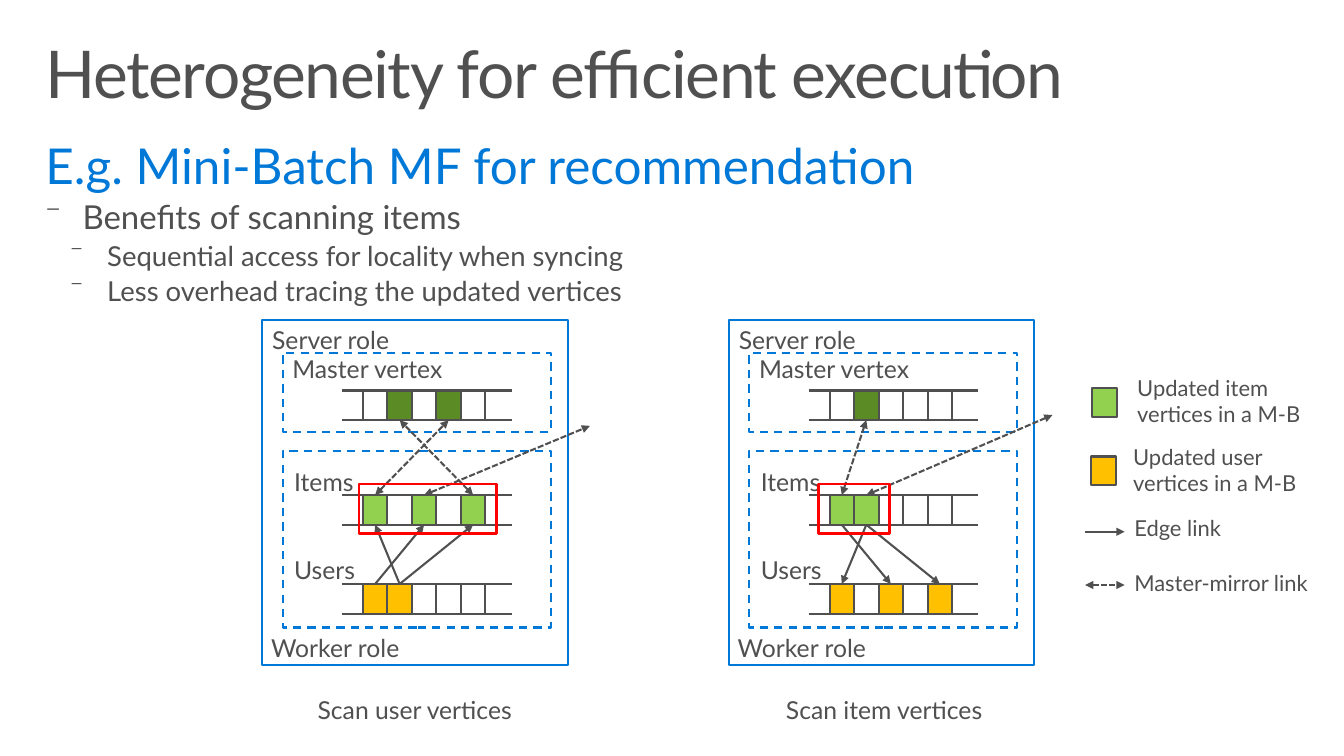
from dataclasses import dataclass
from lxml import etree
from pptx import Presentation
from pptx.dml.color import RGBColor
from pptx.enum.dml import MSO_LINE
from pptx.enum.shapes import MSO_CONNECTOR, MSO_SHAPE
from pptx.enum.text import MSO_ANCHOR, PP_ALIGN
from pptx.oxml.ns import qn
from pptx.util import Pt

RECTANGLE = MSO_SHAPE.RECTANGLE
STRAIGHT = MSO_CONNECTOR.STRAIGHT
TOP = MSO_ANCHOR.TOP
LEFT, CENTER = PP_ALIGN.LEFT, PP_ALIGN.CENTER
DASH, SHORT_DASH = MSO_LINE.DASH, MSO_LINE.SQUARE_DOT


@dataclass(frozen=True)
class Theme:
    font: str = "Lato"
    ink: str = "505050"
    blue: str = "0078D7"
    master: str = "5A8B25"
    item: str = "92D050"
    user: str = "FFC000"
    scan: str = "FF0000"
    title: int = 48
    heading: int = 36
    point: int = 24
    detail: int = 20
    label: int = 18
    legend: int = 16
    line: float = 1.5
    scan_line: float = 1.75


theme = Theme()

TITLE = "Heterogeneity for efficient execution"
BODY = [
    ("E.g. Mini-Batch MF for recommendation", theme.heading, theme.blue, None),
    ("Benefits of scanning items", theme.point, theme.ink, 27),
    ("Sequential access for locality when syncing", theme.detail, theme.ink, 45),
    ("Less overhead tracing the updated vertices", theme.detail, theme.ink, 45),
]
PANELS = [
    {
        "left": 191.2,
        "caption": "Scan user vertices",
        "caption_center": 111,
        "filled": {"master": [1, 3], "item": [0, 2, 4], "user": [0, 1]},
        "edges": [("user", 0, "item", 2), ("user", 1, "item", 0), ("user", 1, "item", 4)],
        "mirrors": [("item", 0, "master", 3), ("item", 4, "master", 1)],
        "remote": (2, 238.6, 310.3),
        "scan": (5, 3),
    },
    {
        "left": 531.2,
        "caption": "Scan item vertices",
        "caption_center": 113,
        "filled": {"master": [1], "item": [0, 1], "user": [0, 2, 4]},
        "edges": [("item", 0, "user", 2), ("item", 1, "user", 0), ("item", 1, "user", 4)],
        "mirrors": [("item", 0, "master", 1)],
        "remote": (1, 235.6, 302.4),
        "scan": (2, 8),
    },
]
PANEL_FRAMES = [(0, 233.3, 222.5, 251.3, None), (14.8, 257, 195.3, 57.6, DASH),
                (14.8, 328.3, 195.3, 128.9, DASH)]
PANEL_LABELS = [
    ("Server role", 0, 233.3, 112),
    ("Master vertex", 14.8, 254.2, 166),
    ("Items", 16, 336.2, 59),
    ("Users", 16, 400.3, 59),
    ("Worker role", -0.8, 457.2, 129),
]
ROW_TOPS = {"master": 284.5, "item": 360.7, "user": 425.5}
ROW_HEIGHT = 21.6
RAIL_START, RAIL_END = 57.9, 181.6
CELL_START, CELL_PITCH, CELL_COUNT = 73.2, 17.85, 5
SCAN_PAD = 8
SCAN_TOP, SCAN_HEIGHT = 352.8, 36

LEGEND_CELLS = [
    ("Updated item vertices in a M-B", theme.item, 795.6, 283, 821.5, 269.3),
    ("Updated user vertices in a M-B", theme.user, 794.9, 332.6, 818.6, 319.7),
]
LEGEND_LINKS = [
    ("Edge link", 387.4, 371.5, False),
    ("Master-mirror link", 426.2, 411.1, True),
]
LEGEND_LINK_START, LEGEND_LINK_END = 790.6, 819.4

deck = Presentation()
deck.slide_width, deck.slide_height = Pt(979.2), Pt(550.8)
page = deck.slides.add_slide(deck.slide_layouts[6])


def color(value):
    return RGBColor.from_string(value)


def style(para, size, ink):
    for span in para.runs:
        span.font.name = theme.font
        span.font.size = Pt(size)
        span.font.color.rgb = color(ink)


def text_box(left, top, width, height, lines, insets=(7.2, 3.6), align=LEFT):
    box = page.shapes.add_textbox(Pt(left), Pt(top), Pt(width), Pt(height))
    frame = box.text_frame
    frame.text = "\n".join(line[0] for line in lines)
    frame.word_wrap = True
    frame.vertical_anchor = TOP
    frame.margin_left = frame.margin_right = Pt(insets[0])
    frame.margin_top = frame.margin_bottom = Pt(insets[1])
    for para, line in zip(frame.paragraphs, lines):
        para.alignment = align
        style(para, line[1], line[2])
    return frame


def rectangle(left, top, width, height, fill=None, line=None, weight=theme.line, dash=None):
    shape = page.shapes.add_shape(RECTANGLE, Pt(left), Pt(top), Pt(width), Pt(height))
    shape.shadow.inherit = False
    if fill:
        shape.fill.solid()
        shape.fill.fore_color.rgb = color(fill)
    else:
        shape.fill.background()
    if line:
        shape.line.color.rgb = color(line)
        shape.line.width = Pt(weight)
        if dash:
            shape.line.dash_style = dash
    else:
        shape.line.fill.background()


def link(start, end, arrows=(), dash=None):
    connector = page.shapes.add_connector(STRAIGHT, *map(Pt, start + end))
    connector.line.color.rgb = color(theme.ink)
    connector.line.width = Pt(theme.line)
    if dash:
        connector.line.dash_style = dash
    properties = connector._element.spPr
    for arrow in arrows:
        etree.SubElement(properties.find(qn("a:ln")), qn(f"a:{arrow}"), type="triangle")
    etree.SubElement(properties, qn("a:effectLst"))


def edge_link(start, end):
    link(start, end, ["tailEnd"])


def mirror_link(start, end):
    link(start, end, ["headEnd", "tailEnd"], SHORT_DASH)


def cell_point(panel, row, cell, bottom):
    return (panel["left"] + CELL_START + (cell + 0.5) * CELL_PITCH,
            ROW_TOPS[row] + bottom * ROW_HEIGHT)


def draw_row(panel, row):
    left, top = panel["left"], ROW_TOPS[row]
    bottom = top + ROW_HEIGHT
    for cell in panel["filled"][row]:
        rectangle(left + CELL_START + cell * CELL_PITCH, top, CELL_PITCH, ROW_HEIGHT,
                  getattr(theme, row))
    for y in (top, bottom):
        link((left + RAIL_START, y), (left + RAIL_END, y))
    for divider in range(CELL_COUNT + 1):
        x = left + CELL_START + divider * CELL_PITCH
        link((x, top), (x, bottom))


def draw_panel(panel):
    left = panel["left"]
    for x, y, width, height, dash in PANEL_FRAMES:
        rectangle(left + x, y, width, height, line=theme.blue, dash=dash)
    for label, x, y, width in PANEL_LABELS:
        text_box(left + x, y, width, 29, [(label, theme.label, theme.ink)])
    for row in ROW_TOPS:
        draw_row(panel, row)
    for links, draw in ((panel["edges"], edge_link), (panel["mirrors"], mirror_link)):
        for source, first, target, last in links:
            upward = ROW_TOPS[source] > ROW_TOPS[target]
            draw(cell_point(panel, source, first, not upward),
                 cell_point(panel, target, last, upward))
    cell, x, y = panel["remote"]
    mirror_link(cell_point(panel, "item", cell, False), (left + x, y))
    cells, pad = panel["scan"]
    rectangle(left + CELL_START - pad, SCAN_TOP, cells * CELL_PITCH + pad + SCAN_PAD,
              SCAN_HEIGHT, line=theme.scan, weight=theme.scan_line)
    text_box(left + panel["caption_center"] - 82, 502.6, 164, 29,
             [(panel["caption"], theme.label, theme.ink)], align=CENTER)


title = text_box(21.6, 23, 936, 72, [(TITLE, theme.title, theme.ink)], (11.5, 7.2))
title.paragraphs[0].line_spacing = 0.9
title.paragraphs[0].runs[0].font._element.set("spc", "-100")

body = text_box(21.6, 95.8, 661.7, 139, BODY, (11.5, 7.2))
for para, (_, size, _, indent) in zip(body.paragraphs, BODY):
    para.line_spacing = 0.9
    para.space_before = Pt(size * 0.2)
    if indent:
        properties = para._p.get_or_add_pPr()
        properties.set("marL", str(Pt(indent)))
        properties.set("indent", str(Pt(-27)))
        etree.SubElement(properties, qn("a:buSzPct"), val="90000")
        etree.SubElement(properties, qn("a:buChar"), char="⁻")

for panel in PANELS:
    draw_panel(panel)

for label, fill, x, y, text_left, text_top in LEGEND_CELLS:
    rectangle(x, y, 18, 21, fill, theme.ink)
    text_box(text_left, text_top, 139, 46, [(label, theme.legend, theme.ink)])
for label, y, text_top, mirrored in LEGEND_LINKS:
    draw = mirror_link if mirrored else edge_link
    draw((LEGEND_LINK_START, y), (LEGEND_LINK_END, y))
    text_box(LEGEND_LINK_END, text_top, 144, 27, [(label, theme.legend, theme.ink)])

deck.save("out.pptx")
